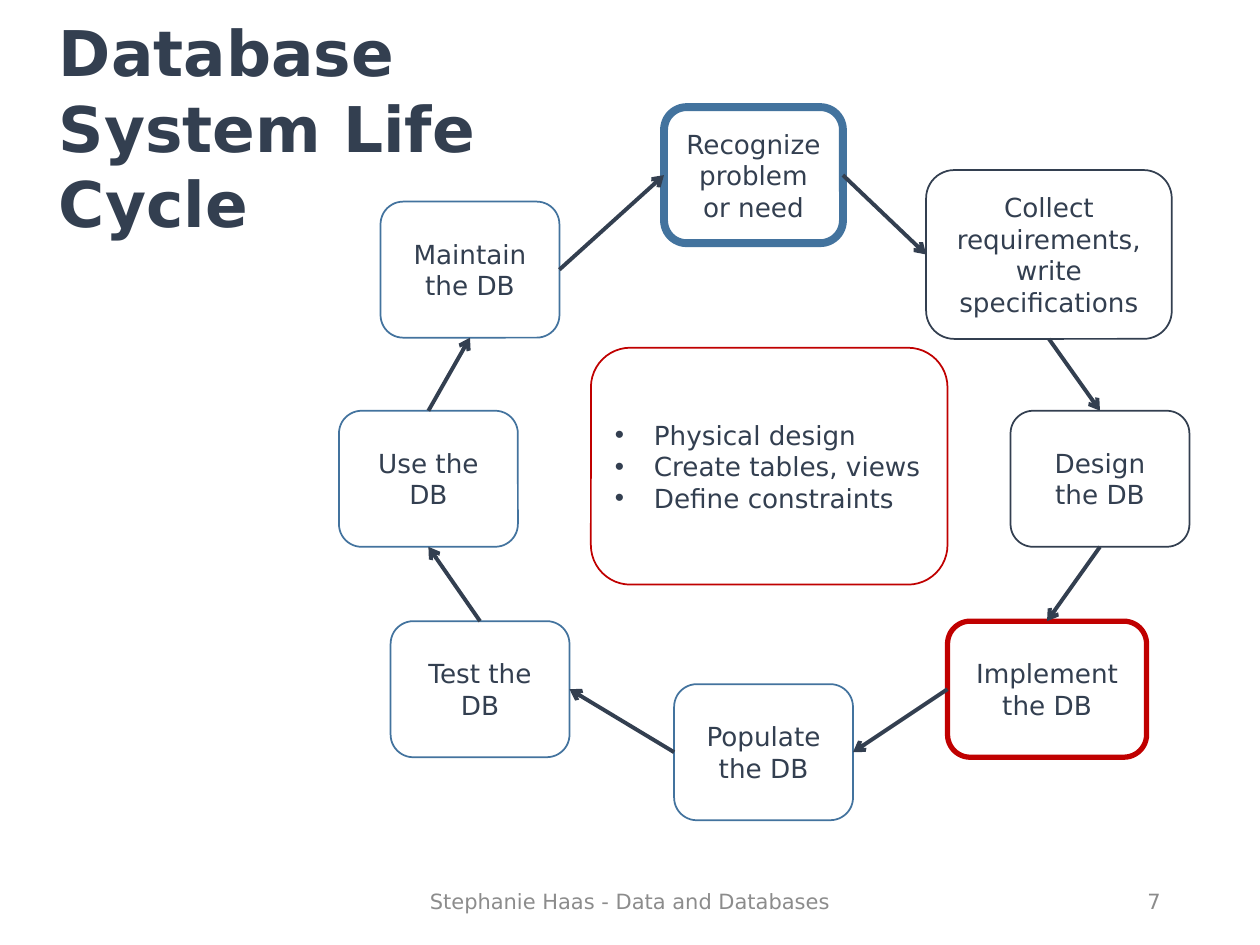
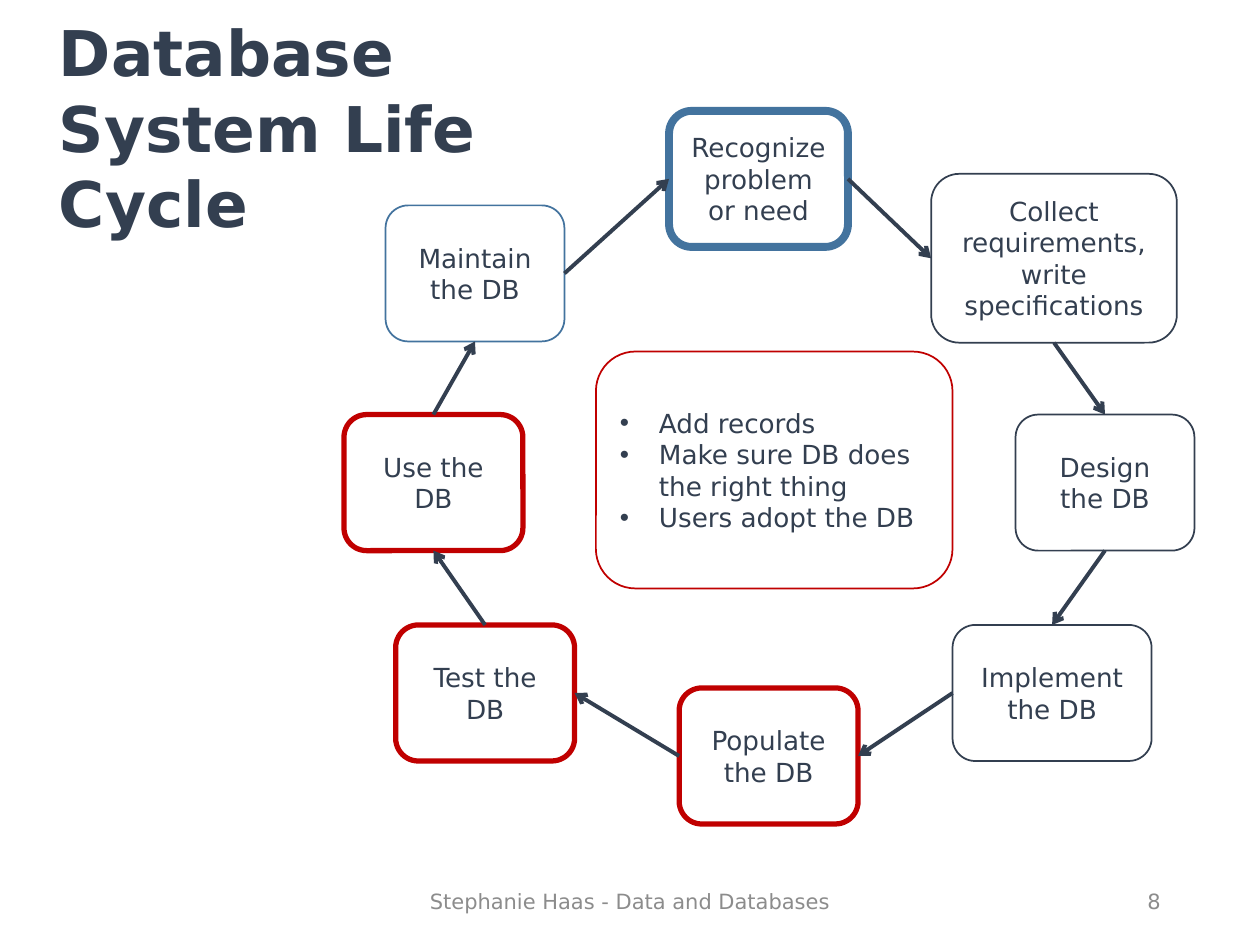
from lxml.etree import SubElement
from pptx import Presentation
from pptx.dml.color import RGBColor
from pptx.enum.shapes import MSO_CONNECTOR, MSO_SHAPE
from pptx.enum.text import MSO_ANCHOR as Anchor, MSO_AUTO_SIZE as AutoSize, PP_ALIGN as Align
from pptx.oxml.ns import qn
from pptx.util import Inches, Pt

COLORS = {"ink": "333F50", "blue": "43739E", "red": "C00000", "gray": "8C8C8C"}
FONT = "DejaVu Sans"
TITLE = "Database System Life Cycle"
FOOTER = "Stephanie Haas - Data and Databases"
TOP, LEFT, BOTTOM, RIGHT = range(4)

STAGES = {
    "Recognize": ("Recognize problem or need", 5.27, 0.85, 1.42, 1.08),
    "Collect": ("Collect requirements, write specifications", 7.35, 1.35, 1.95, 1.34),
    "Design": ("Design the DB", 8.02, 3.26, 1.42, 1.08),
    "Implement": ("Implement the DB", 7.52, 4.93, 1.58, 1.08),
    "Populate": ("Populate the DB", 5.35, 5.43, 1.42, 1.08),
    "Test": ("Test the DB", 3.1, 4.93, 1.42, 1.08),
    "Use": ("Use the DB", 2.69, 3.26, 1.42, 1.08),
    "Maintain": ("Maintain the DB", 3.02, 1.6, 1.42, 1.08),
}
FLOW = [
    ("Test", TOP, "Use", BOTTOM),
    ("Use", TOP, "Maintain", BOTTOM),
    ("Maintain", RIGHT, "Recognize", LEFT),
    ("Recognize", RIGHT, "Collect", LEFT),
    ("Collect", BOTTOM, "Design", TOP),
    ("Design", BOTTOM, "Implement", TOP),
    ("Implement", LEFT, "Populate", RIGHT),
    ("Populate", LEFT, "Test", RIGHT),
]
DETAILS = (4.69, 2.76, 2.83, 1.88)
CYCLES = [
    {
        "number": 7,
        "shift": (0, 0),
        "done": ["Collect", "Design"],
        "current": ["Implement"],
        "tasks": ["Physical design", "Create tables, views", "Define constraints"],
    },
    {
        "number": 8,
        "shift": (0.04, 0.03),
        "done": ["Collect", "Design", "Implement"],
        "current": ["Populate", "Test", "Use"],
        "tasks": ["Add records", "Make sure DB does the right thing", "Users adopt the DB"],
    },
]


class Deck:
    """Holds the shared style and the slide being drawn."""

    def __init__(self):
        self.presentation = Presentation()
        self.presentation.slide_width = Inches(10)
        self.presentation.slide_height = Inches(7.5)
        self.slide = None
        self.shift = (0, 0)

    def new_slide(self, shift):
        self.slide = self.presentation.slides.add_slide(self.presentation.slide_layouts[6])
        self.shift = shift

    def set_text(self, frame, text, size, color, align, anchor=Anchor.MIDDLE, bold=False):
        frame.text = text
        frame.word_wrap = True
        frame.vertical_anchor = anchor
        for paragraph in frame.paragraphs:
            paragraph.alignment = align
            for run in paragraph.runs:
                run.font.name = FONT
                run.font.size = Pt(size)
                run.font.bold = bold
                run.font.color.rgb = RGBColor.from_string(COLORS[color])

    def label(self, text, area, size, color, align, **style):
        label = self.slide.shapes.add_textbox(*map(Inches, area))
        self.set_text(label.text_frame, text, size, color, align, **style)
        return label

    def box(self, text, area, outline, weight, align=Align.CENTER):
        left, top, width, height = area
        area = (left + self.shift[0], top + self.shift[1], width, height)
        box = self.slide.shapes.add_shape(MSO_SHAPE.ROUNDED_RECTANGLE, *map(Inches, area))
        box.shadow.inherit = False
        box.fill.background()
        box.line.color.rgb = RGBColor.from_string(COLORS[outline])
        box.line.width = Pt(weight)
        self.set_text(box.text_frame, text, 15, "ink", align)
        return box

    def bullet_box(self, items, area, outline):
        panel = self.box("\n".join(items), area, outline, 1, Align.LEFT)
        for paragraph in panel.text_frame.paragraphs:
            properties = paragraph._p.get_or_add_pPr()
            properties.set("marL", str(Inches(0.31)))
            properties.set("indent", str(-Inches(0.31)))
            SubElement(properties, qn("a:buFont"), typeface="Arial")
            SubElement(properties, qn("a:buChar"), char="•")

    def arrow(self, source, source_side, target, target_side):
        arrow = self.slide.shapes.add_connector(MSO_CONNECTOR.STRAIGHT, 0, 0, 0, 0)
        arrow.begin_connect(source, source_side)
        arrow.end_connect(target, target_side)
        arrow.line.color.rgb = RGBColor.from_string(COLORS["ink"])
        arrow.line.width = Pt(2.25)
        properties = arrow._element.spPr
        SubElement(properties.find(qn("a:ln")), qn("a:tailEnd"), type="arrow")
        SubElement(properties, qn("a:effectLst"))

    def title_and_footer(self, number):
        self.label(FOOTER, (3.31, 6.95, 3.38, 0.4), 12, "gray", Align.CENTER)
        self.label(str(number), (7.06, 6.95, 2.25, 0.4), 12, "gray", Align.RIGHT)
        title = self.label(TITLE, (0.37, 0.06, 3.54, 1.92), 36, "ink", Align.LEFT,
                           anchor=Anchor.TOP, bold=True)
        title.text_frame.auto_size = AutoSize.SHAPE_TO_FIT_TEXT


def stage_outline(stage, cycle):
    """Return the outline colour and weight that show a stage's progress."""
    if stage == "Recognize":
        return "blue", 4.5
    if stage in cycle["current"]:
        return "red", 3
    return ("ink" if stage in cycle["done"] else "blue"), 1


def main():
    """Build both life cycle slides."""
    deck = Deck()
    for cycle in CYCLES:
        deck.new_slide(cycle["shift"])
        stages = {
            stage: deck.box(text, area, *stage_outline(stage, cycle))
            for stage, (text, *area) in STAGES.items()
        }
        for source, source_side, target, target_side in FLOW:
            deck.arrow(stages[source], source_side, stages[target], target_side)
        deck.bullet_box(cycle["tasks"], DETAILS, "red")
        deck.title_and_footer(cycle["number"])
    deck.presentation.save("out.pptx")


if __name__ == "__main__":
    main()
